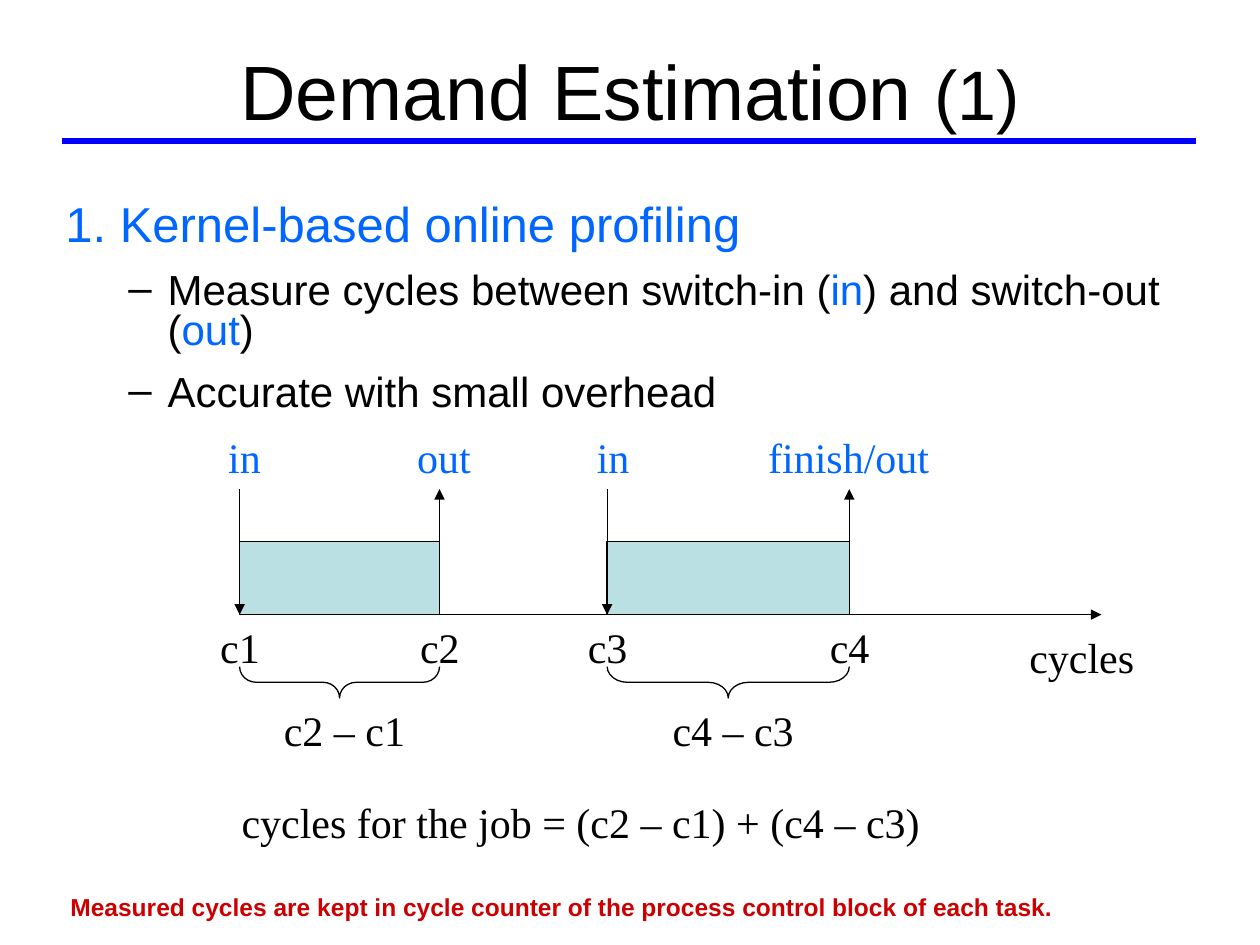
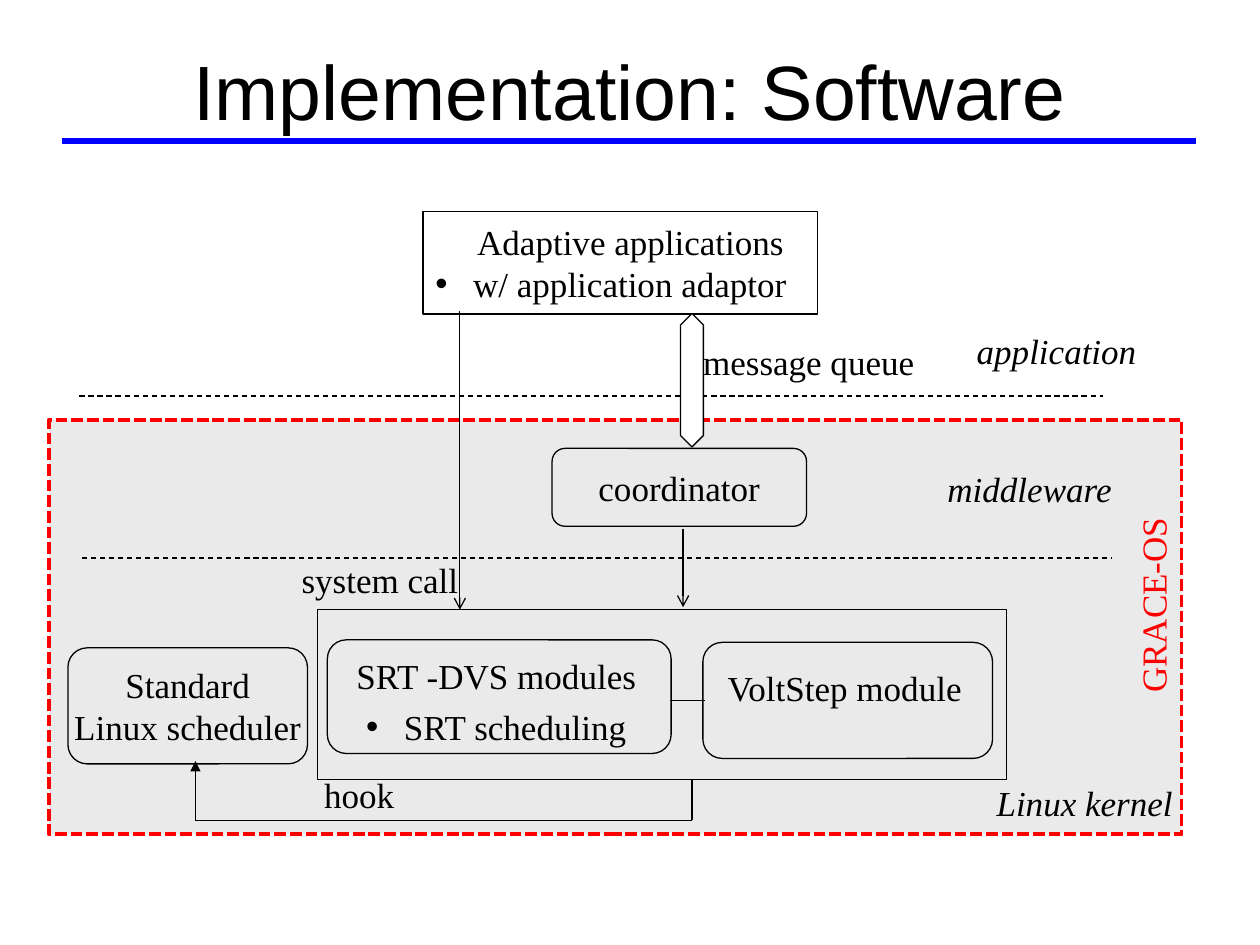
from lxml import etree
from pptx import Presentation
from pptx.dml.color import RGBColor
from pptx.enum.dml import MSO_LINE
from pptx.enum.shapes import MSO_CONNECTOR, MSO_SHAPE
from pptx.enum.text import MSO_ANCHOR, PP_ALIGN
from pptx.oxml.ns import qn
from pptx.util import Cm, Pt

LEFT, MID = PP_ALIGN.LEFT, PP_ALIGN.CENTER
TOP, CORE = MSO_ANCHOR.TOP, MSO_ANCHOR.MIDDLE
RECT, ROUND = MSO_SHAPE.RECTANGLE, MSO_SHAPE.ROUNDED_RECTANGLE
BRACE, TWOWAY = MSO_SHAPE.RIGHT_BRACE, MSO_SHAPE.UP_DOWN_ARROW
DASH, DOTS = MSO_LINE.DASH, MSO_LINE.SQUARE_DOT
STRAIGHT = MSO_CONNECTOR.STRAIGHT
SANS, SERIF = "Arial", "Times New Roman"
BLACK, WHITE, BLUE, RULE = "000000", "FFFFFF", "0066FF", "0000FF"
RED, DEEP, TEAL, GREY = "FF0000", "CC0000", "BBE0E3", "EAEAEA"
PAD = (0.25, 0.13, 0.25, 0.13)
NONE = (0, 0, 0, 0)


def color(code):
    return RGBColor.from_string(code)


def run(text, size=20, font=SERIF, ink=BLACK, bold=False, slant=False):
    return text, size, font, ink, bold, slant


def para(*runs, align=LEFT, left=0, hang=0, mark=None, gap=0, lead=None):
    return runs, align, left, hang, mark, gap, lead


def write(shape, paras, anchor=TOP, pad=PAD, wrap=True):
    frame = shape.text_frame
    frame.word_wrap = wrap
    frame.vertical_anchor = anchor
    (frame.margin_left, frame.margin_top,
     frame.margin_right, frame.margin_bottom) = map(Cm, pad)
    for i, (runs, align, left, hang, mark, gap, lead) in enumerate(paras):
        p = frame.add_paragraph() if i else frame.paragraphs[0]
        props = p._p.get_or_add_pPr()
        props.set("marL", str(Cm(left)))
        props.set("indent", str(Cm(-hang)))
        if mark:
            etree.SubElement(props, qn("a:buFont")).set("typeface", SANS)
            etree.SubElement(props, qn("a:buChar")).set("char", mark)
        p.alignment = align
        if gap:
            p.space_before = Pt(gap)
        if lead:
            p.line_spacing = lead
        for text, size, font, ink, bold, slant in runs:
            r = p.add_run()
            r.text = text
            r.font.size = Pt(size)
            r.font.name = font
            r.font.color.rgb = color(ink)
            r.font.bold = bold
            r.font.italic = slant


def textbox(slide, x, y, w, h, paras, **style):
    box = slide.shapes.add_textbox(Cm(x), Cm(y), Cm(w), Cm(h))
    write(box, paras, **style)
    return box


def label(slide, x, y, w, text, size=24, ink=BLACK, align=LEFT):
    words = run(text, size, ink=ink)
    return textbox(slide, x, y, w, 1.27, [para(words, align=align)])


def tag(slide, x, y, w, text, slant=False, align=LEFT):
    words = run(text, slant=slant)
    textbox(slide, x, y, w, 0.84, [para(words, align=align)],
            pad=NONE, wrap=False)


def block(slide, kind, x, y, w, h, fill=None, line=BLACK, width=0.75,
          dash=None, adjust=()):
    shape = slide.shapes.add_shape(kind, Cm(x), Cm(y), Cm(w), Cm(h))
    shape.shadow.inherit = False
    if fill:
        shape.fill.solid()
        shape.fill.fore_color.rgb = color(fill)
    else:
        shape.fill.background()
    shape.line.color.rgb = color(line)
    shape.line.width = Pt(width)
    if dash:
        shape.line.dash_style = dash
    for i, value in enumerate(adjust):
        shape.adjustments[i] = value
    return shape


def stroke(slide, x1, y1, x2, y2, ink=BLACK, width=0.75, dash=None, tip=None):
    line = slide.shapes.add_connector(STRAIGHT, Cm(x1), Cm(y1), Cm(x2), Cm(y2))
    line.line.color.rgb = color(ink)
    line.line.width = Pt(width)
    if dash:
        line.line.dash_style = dash
    if tip:
        etree.SubElement(line.line._get_or_add_ln(), qn("a:tailEnd")).set("type", tip)
    etree.SubElement(line._element.spPr, qn("a:effectLst"))


def brace(slide, x, y, w, h):
    shape = block(slide, BRACE, x + (w - h) / 2, y - (w - h) / 2, h, w,
                  adjust=(w / 12 / h, 0.5))
    shape.rotation = 90


def start(deck, *title):
    slide = deck.slides.add_slide(deck.slide_layouts[6])
    textbox(slide, 1.9, 0.43, 21.6, 2.74, [para(*title, align=MID)], anchor=CORE)
    stroke(slide, 1.24, 2.84, 24.1, 2.84, RULE, 3)
    return slide


def demand(deck):
    slide = start(deck, run("Demand Estimation ", 44, SANS), run("(1)", 40, SANS))
    item = dict(left=2.06, hang=0.79, mark="–", gap=12, lead=0.8)
    textbox(slide, 1.07, 4.01, 23.5, 4.88, [
        para(run("1. Kernel-based online profiling", 28, SANS, BLUE),
             left=0.97, hang=0.97, lead=0.8),
        para(run("Measure cycles between switch-in (", 24, SANS),
             run("in", 24, SANS, BLUE),
             run(") and switch-out (", 24, SANS),
             run("out", 24, SANS, BLUE),
             run(")", 24, SANS), **item),
        para(run("Accurate with small overhead", 24, SANS), **item)])

    peak, axis = 9.86, 12.39
    marks = [("c1", 4.83, "in", 4.93), ("c2", 8.86, "out", 8.95),
             ("c3", 12.24, "in", 12.36), ("c4", 17.12, "finish/out", 17.11)]
    for (a, x1, *_), (b, x2, *_) in (marks[:2], marks[2:]):
        span = x2 - x1
        block(slide, RECT, x1, 10.91, span, axis - 10.91, TEAL)
        brace(slide, x1, 13.44, span, 0.63)
        label(slide, x1 + span / 2 - 1.59, 14.07, 3.38, f"{b} – {a}", align=MID)
    stroke(slide, marks[0][1], axis, 22.2, axis, tip="triangle")
    for name, x, event, mid in marks:
        ends = (peak, axis) if event == "in" else (axis, peak)
        stroke(slide, x, ends[0], x, ends[1], tip="triangle")
        label(slide, mid - 2.2, 8.57, 4.4, event, ink=BLUE, align=MID)
        label(slide, x - 0.64, axis, 1.47, name)
    label(slide, 20.5, 12.6, 2.74, "cycles")
    label(slide, 4.62, 15.93, 14.81, "cycles for the job = (c2 – c1) + (c4 – c3)")
    note = ("Measured cycles are kept in cycle counter of the process "
            "control block of each task.")
    textbox(slide, 1.17, 17.86, 20.32, 0.86,
            [para(run(note, 14, SANS, DEEP, True))], wrap=False)


def software(deck):
    slide = start(deck, run("Implementation: Software", 44, SANS))
    block(slide, RECT, 0.99, 8.46, 22.83, 8.36, GREY, RED, 2.25, DOTS)
    apps = block(slide, RECT, 8.53, 4.27, 7.95, 2.06)
    write(apps, [para(run("Adaptive applications"), left=0.84),
                 para(run("w/ application adaptor"), left=0.76, hang=0.76,
                      mark="•")], anchor=CORE)

    stroke(slide, 1.6, 7.98, 22.23, 7.98, dash=DASH)
    stroke(slide, 1.65, 11.25, 22.4, 11.25, dash=DASH)
    block(slide, RECT, 6.4, 12.29, 13.89, 3.43)
    plan = block(slide, ROUND, 1.37, 13.06, 4.83, 2.34)
    write(plan, [para(run(text), align=MID)
                 for text in ("Standard", "Linux scheduler")],
          anchor=CORE, wrap=False)
    hub = block(slide, ROUND, 11.13, 9.04, 5.13, 1.57)
    write(hub, [para(run("coordinator"), align=MID)], anchor=CORE)
    srt = block(slide, ROUND, 6.6, 12.9, 6.93, 2.29)
    write(srt, [para(run("SRT -DVS modules"), align=MID, lead=1.2),
                para(run("SRT scheduling"), align=MID, left=0.76, hang=0.76,
                     mark="•", lead=1.2)],
          anchor=CORE, pad=(0.13, 0.13, 0.25, 0.13))
    power = block(slide, ROUND, 14.17, 12.95, 5.84, 2.34)
    write(power, [para(run("VoltStep module"), align=MID, lead=1.2)],
          pad=(0.13, 0.2, 0.25, 0.13), wrap=False)

    stroke(slide, 13.95, 15.72, 13.95, 16.54)
    stroke(slide, 13.95, 16.54, 3.94, 16.54)
    stroke(slide, 3.94, 16.54, 3.94, 15.34, tip="triangle")
    stroke(slide, 13.77, 10.67, 13.77, 12.24, tip="arrow")
    stroke(slide, 9.27, 6.27, 9.27, 12.29, tip="arrow")
    stroke(slide, 13.51, 14.12, 14.22, 14.12)
    block(slide, TWOWAY, 13.72, 6.32, 0.46, 2.69, WHITE, adjust=(0.5, 1.21))

    tag(slide, 19.69, 6.65, 3.23, "application", True)
    tag(slide, 19.1, 9.42, 3.33, "middleware", True)
    tag(slide, 20.09, 15.75, 3.56, "Linux kernel", True)
    tag(slide, 6.07, 11.25, 3.18, "system call", align=MID)
    tag(slide, 14.17, 6.86, 4.27, "message queue", align=MID)
    tag(slide, 4.85, 15.6, 4.78, "hook", align=MID)
    side = label(slide, 21.11, 11.64, 4.27, "GRACE-OS", 20, RED, MID)
    side.height = Cm(1.12)
    side.rotation = 270


def main():
    deck = Presentation()
    deck.slide_width, deck.slide_height = Cm(25.4), Cm(19.05)
    demand(deck)
    software(deck)
    deck.save("out.pptx")


if __name__ == "__main__":
    main()
